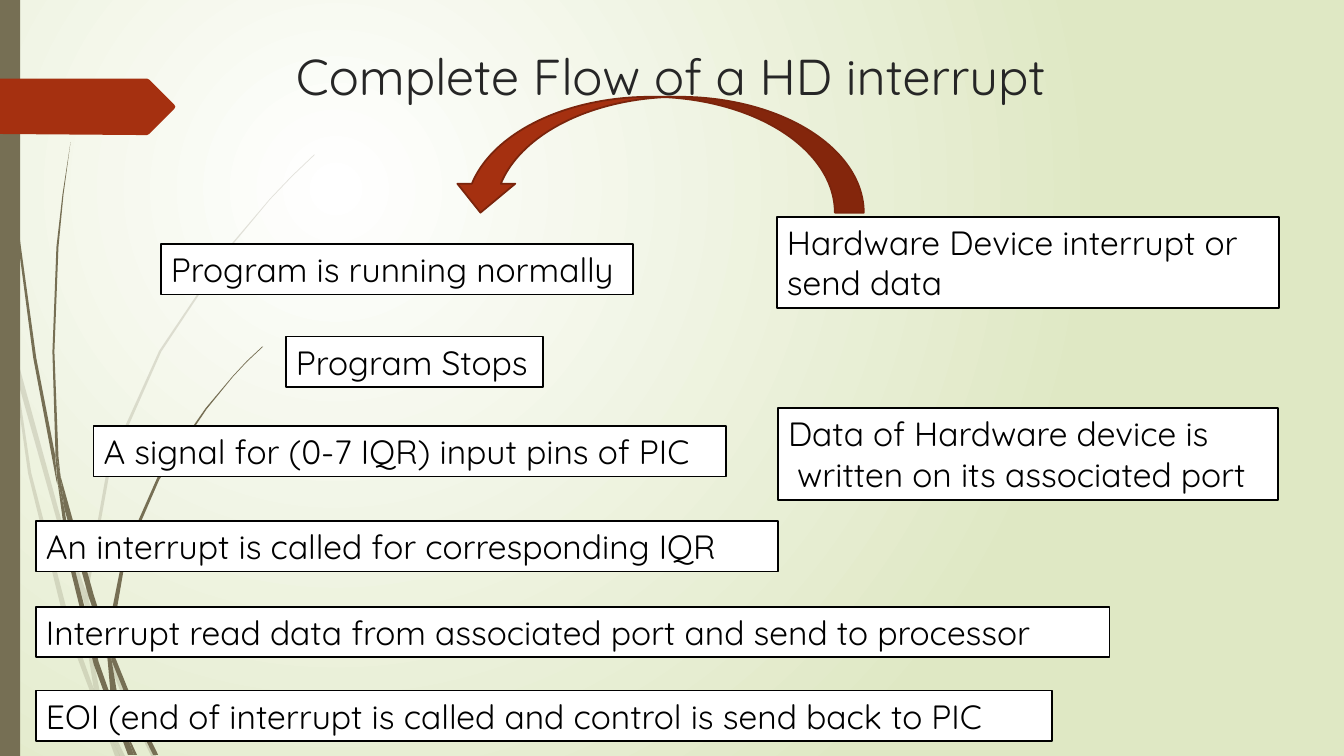
from lxml import etree
from pptx import Presentation
from pptx import util as u
from pptx.dml.color import RGBColor
from pptx.enum import shapes, text
from pptx.oxml.ns import qn

# Grass outlines, in hundredths of an inch
PALE_GRASS = [
    [(11, 350), (9, 322), (0, 282), (0, 299), (10, 344)],
    [(58, 522), (84, 599), (85, 586), (62, 520), (14, 345), (17, 376)],
    [(92, 607), (88, 596), (88, 610), (123, 694), (150, 750), (155, 750), (127, 692)],
    [(119, 750), (124, 750), (105, 711)],
    [(93, 683), (70, 619), (31, 469), (17, 376), (11, 350), (28, 470), (65, 621),
     (92, 693), (101, 714), (99, 707)],
    [(84, 599), (87, 646), (93, 683), (96, 692), (105, 711), (103, 706), (91, 646),
     (88, 610), (88, 608)],
    [(88, 584), (110, 462), (160, 349), (229, 245), (268, 198), (290, 175), (312, 154),
     (312, 153), (289, 175), (268, 197), (228, 244), (158, 348), (107, 461), (85, 584),
     (85, 586), (88, 596)],
    [(101, 714), (114, 750), (119, 750)],
    [(88, 608), (88, 610), (88, 596), (85, 586), (84, 599)],
    [(96, 692), (93, 683), (99, 707), (101, 714), (119, 750), (105, 711)],
]
DARK_GRASS = [
    [(7, 110), (17, 233), (33, 355), (56, 477), (57, 481), (55, 457), (55, 453),
     (36, 355), (19, 232), (8, 109), (5, 48), (4, 0), (3, 0), (4, 48)],
    [(88, 592), (106, 645), (106, 631), (93, 590), (60, 472), (64, 505)],
    [(113, 649), (110, 641), (111, 656), (132, 708), (152, 749), (157, 749), (136, 706)],
    [(110, 691), (98, 657), (72, 556), (64, 505), (57, 477), (68, 557), (93, 659),
     (111, 708), (117, 722), (116, 717)],
    [(60, 472), (58, 453), (54, 349), (58, 245), (63, 193), (70, 141), (62, 193),
     (56, 245), (52, 349), (55, 449)],
    [(133, 749), (136, 749), (122, 719)],
    [(57, 477), (64, 505), (60, 472), (55, 449), (55, 453)],
    [(111, 633), (125, 552), (158, 476), (205, 406), (231, 374), (245, 359), (261, 344),
     (260, 344), (245, 358), (231, 373), (204, 405), (156, 474), (122, 551), (106, 631),
     (110, 641)],
    [(117, 722), (127, 749), (131, 749)],
    [(106, 645), (110, 691), (116, 706), (122, 719), (121, 716), (111, 656), (109, 651)],
    [(106, 645), (109, 651), (111, 656), (110, 641), (106, 631)],
    [(116, 706), (110, 691), (116, 717), (117, 722), (130, 749), (133, 749), (122, 719)],
]
TAG = [(0, 78), (146, 78), (148, 79), (173, 104), (174, 106), (173, 108), (148, 133),
       (146, 134), (136, 134), (0, 133)]

# Steps of the flow: left, top, width, height in cm, then the lines
STEPS = [
    (19.58, 5.46, 12.65, 2.31, ["Hardware Device interrupt or send data"]),
    (4.06, 6.15, 11.89, 1.27, ["Program is running normally"]),
    (7.21, 8.48, 6.48, 1.27, ["Program Stops"]),
    (2.36, 10.74, 15.93, 1.27, ["A signal for (0-7 IQR) input pins of PIC"]),
    (19.61, 10.29, 12.6, 2.31,
     ["Data of Hardware device is", " written on its associated port"]),
    (0.91, 13.13, 18.69, 1.27, ["An interrupt is called for corresponding IQR"]),
    (0.91, 15.29, 27.05, 1.27,
     ["Interrupt read data from associated port and send to processor"]),
    (0.91, 17.4, 25.6, 1.27,
     ["EOI (end of interrupt is called and control is send back to PIC"]),
]


def color(value):
    return RGBColor.from_string(value)


class FlowSlide:
    font = "Quicksand"
    olive, rust, dark_rust = "766F54", "A53010", "7A240C"
    white, black, ink, pale_green = "FFFFFF", "000000", "262626", "DFE8C4"
    outline_unit = u.Cm(2.54) / 100

    def __init__(self, deck):
        self.slide = deck.slides.add_slide(deck.slide_layouts[6])
        self.shapes = self.slide.shapes

    def background(self):
        fill = self.slide.background.fill
        fill.gradient()
        for stop, tone in zip(fill.gradient_stops, (self.white, self.pale_green)):
            stop.color.rgb = color(tone)
        gradient = self.slide._element.find(".//" + qn("a:gradFill"))
        gradient.remove(gradient.find(qn("a:lin")))
        glow = etree.SubElement(gradient, qn("a:path"), path="circle")
        etree.SubElement(glow, qn("a:fillToRect"),
                         l="50000", t="50000", r="100000", b="100000")

    def paint(self, shape, fill, line=None):
        shape.shadow.inherit = False
        shape.fill.solid()
        shape.fill.fore_color.rgb = color(fill)
        if line:
            shape.line.color.rgb = color(line)
            shape.line.width = u.Pt(1.25)
        else:
            shape.line.fill.background()
        return shape

    def outline(self, points, fill, opacity=100, parent=None):
        builder = (parent or self.shapes).build_freeform(
            *points[0], scale=self.outline_unit)
        builder.add_line_segments(points[1:], close=True)
        shape = self.paint(builder.convert_to_shape(), fill)
        if opacity < 100:
            tone = shape._element.spPr.find(qn("a:solidFill"))[0]
            etree.SubElement(tone, qn("a:alpha"), val=str(opacity * 1000))

    def grass(self, blades, opacity):
        group = self.shapes.add_group_shape()
        for blade in blades:
            self.outline(blade, self.olive, opacity, group.shapes)

    def preset(self, kind, place, fill, line=None):
        shape = self.shapes.add_shape(kind, *map(u.Cm, place))
        return self.paint(shape, fill, line)

    def add_lines(self, shape, lines, size, tone):
        frame = shape.text_frame
        frame.word_wrap = True
        frame.vertical_anchor = text.MSO_ANCHOR.TOP
        for number, line in enumerate(lines):
            paragraph = frame.add_paragraph() if number else frame.paragraphs[0]
            paragraph.alignment = text.PP_ALIGN.LEFT
            run = paragraph.add_run()
            run.text = line
            run.font.name = self.font
            run.font.size = u.Pt(size)
            run.font.color.rgb = color(tone)

    def title(self, place, words):
        heading = self.shapes.add_textbox(*map(u.Cm, place))
        self.add_lines(heading, [words], 36, self.ink)

    def step(self, place, lines):
        box = self.preset(shapes.MSO_SHAPE.RECTANGLE, place, self.white, self.black)
        self.add_lines(box, lines, 24, self.black)

    def return_arrow(self, place):
        arrow = self.preset(shapes.MSO_SHAPE.CURVED_DOWN_ARROW, place,
                            self.rust, self.dark_rust)
        arrow._element.spPr.xfrm.set("flipH", "1")


def main():
    deck = Presentation()
    deck.slide_width, deck.slide_height = u.Cm(33.87), u.Cm(19.05)
    flow = FlowSlide(deck)

    # Backdrop
    flow.background()
    flow.grass(PALE_GRASS, 20)
    flow.grass(DARK_GRASS, 100)
    flow.preset(shapes.MSO_SHAPE.RECTANGLE, (0, 0, 0.51, 19.05), flow.olive)
    flow.outline(TAG, flow.rust)

    # Title and flow
    flow.title((7.21, 1.02, 24.77, 3.56), "Complete Flow of a HD interrupt")
    flow.return_arrow((11.38, 2.44, 10.39, 2.92))
    for *place, lines in STEPS:
        flow.step(place, lines)

    deck.save("out.pptx")


if __name__ == "__main__":
    main()
